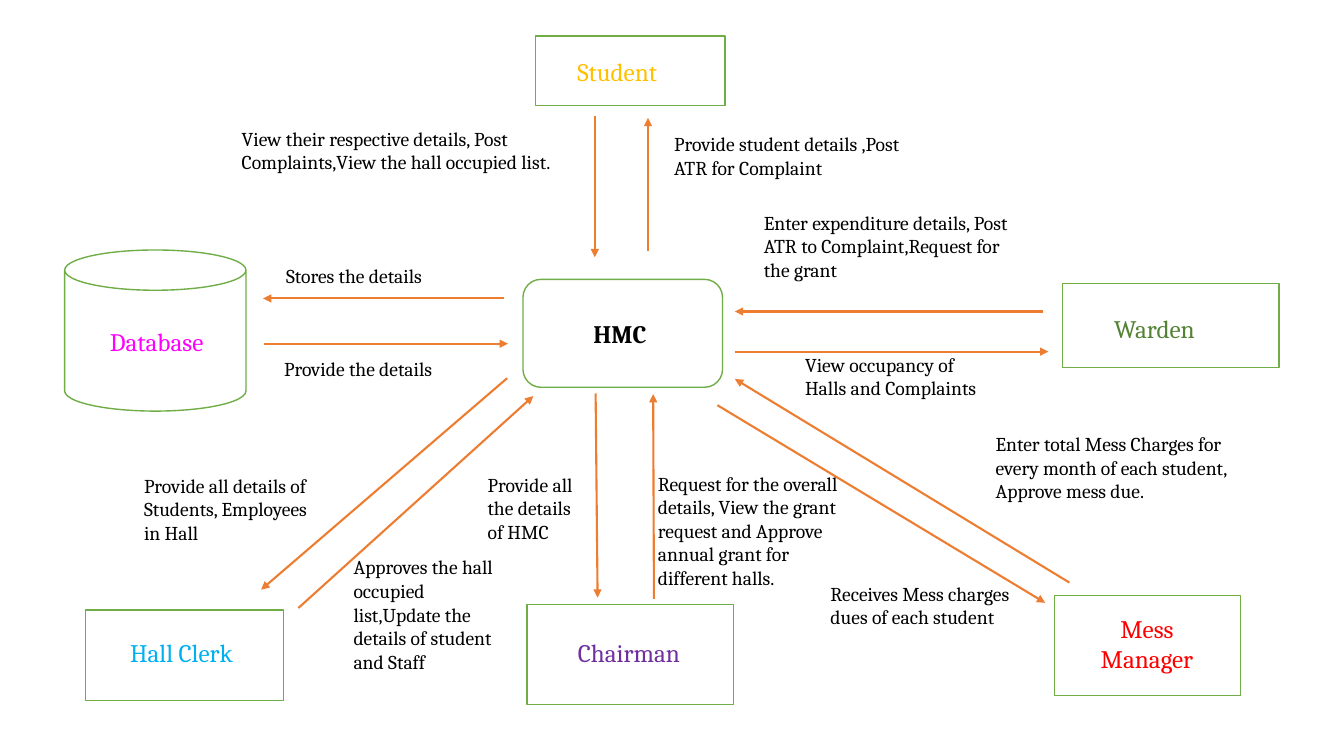
from lxml import etree
from pptx import Presentation
from pptx.dml.color import RGBColor
from pptx.enum.shapes import MSO_CONNECTOR, MSO_SHAPE
from pptx.enum.text import MSO_AUTO_SIZE, PP_ALIGN
from pptx.oxml.ns import qn
from pptx.util import Cm, Pt

RECTANGLE = MSO_SHAPE.RECTANGLE
ROUNDED = MSO_SHAPE.ROUNDED_RECTANGLE
CYLINDER = MSO_SHAPE.CAN
STRAIGHT = MSO_CONNECTOR.STRAIGHT
LEFT, CENTER = PP_ALIGN.LEFT, PP_ALIGN.CENTER
FIT_SHAPE = MSO_AUTO_SIZE.SHAPE_TO_FIT_TEXT

COLORS = {
    "background": "FFFFFF",
    "outline": "70AD47",
    "arrow": "ED7D31",
    "text": "000000",
    "student": "FFC000",
    "warden": "548235",
    "mess": "FF0000",
    "chairman": "7030A0",
    "clerk": "00B0F0",
    "database": "FF00FF",
}
NOTE_FORMAT = {"name": "Cambria", "size": Pt(14), "bold": False}
NAME_FORMAT = {"name": "Cambria", "size": Pt(18), "bold": False}
HUB_FORMAT = {**NAME_FORMAT, "bold": True}

# Each entity: shape, box, label box relative to it, name, colour, alignment, format
ENTITIES = [
    (ROUNDED, (13.18, 7.04, 5.03, 2.72), (1.15, 0.86, 2.59, 1.02),
     "HMC", "text", CENTER, HUB_FORMAT),
    (RECTANGLE, (13.49, 0.91, 4.78, 1.75), (0.81, 0.39, 3.05, 1.02),
     "Student", "student", LEFT, NAME_FORMAT),
    (RECTANGLE, (26.77, 7.14, 5.46, 2.13), (-0.2, 0.63, 5.05, 1.02),
     "Warden", "warden", CENTER, NAME_FORMAT),
    (RECTANGLE, (26.57, 15.01, 4.7, 2.51), (0.2, 0.31, 4.27, 1.8),
     "Mess Manager", "mess", CENTER, NAME_FORMAT),
    (RECTANGLE, (13.28, 15.24, 5.21, 2.51), (0.59, 0.69, 3.96, 1.02),
     "Chairman", "chairman", CENTER, NAME_FORMAT),
    (RECTANGLE, (2.16, 15.37, 4.98, 2.29), (0.56, 0.56, 3.71, 1.02),
     "Hall Clerk", "clerk", CENTER, NAME_FORMAT),
    (CYLINDER, (1.63, 6.3, 4.57, 4.06), (0.43, 1.8, 3.78, 1.02),
     "Database", "database", CENTER, NAME_FORMAT),
]

# Each flow: arrow start and end, note box, note
FLOWS = [
    ((14.99, 2.92, 14.99, 6.48), (5.84, 3.07, 9.09, 1.45),
     "View their respective details, Post Complaints,View the hall occupied list."),
    ((16.33, 6.32, 16.33, 2.97), (16.74, 3.2, 7.01, 1.45),
     "Provide student details ,Post ATR for Complaint"),
    ((26.29, 7.85, 18.52, 7.85), (19, 5.18, 6.93, 2.64),
     "Enter expenditure details, Post ATR to Complaint,Request for the grant"),
    ((18.52, 8.86, 26.42, 8.86), (20.04, 8.76, 5.23, 1.45),
     "View occupancy of Halls and Complaints"),
    ((26.95, 14.68, 18.52, 9.55), (24.84, 10.77, 6.45, 2.64),
     "Enter total Mess Charges for every month of each student, Approve mess due."),
    ((18.08, 10.21, 26.34, 15.19), (20.68, 14.53, 5.33, 2.06),
     "Receives Mess charges dues of each student"),
    ((16.48, 15.09, 16.46, 9.93), (16.33, 11.76, 5.36, 3.25),
     "Request for the overall details, View the grant request and Approve "
     "annual grant for different halls."),
    ((15.01, 9.91, 15.06, 15.06), (12.04, 11.79, 2.9, 2.06),
     "Provide all the details of HMC"),
    ((7.52, 15.32, 13.44, 9.98), (8.66, 13.87, 4.19, 3.84),
     "Approves the hall occupied list,Update the details of student and Staff"),
    ((12.78, 9.53, 6.58, 14.86), (3.38, 11.81, 4.75, 2.06),
     "Provide all details of Students, Employees in Hall"),
    ((12.7, 7.52, 6.63, 7.52), (6.96, 6.53, 5.23, 0.86), "Stores the details"),
    ((6.65, 8.66, 12.8, 8.66), (6.91, 8.86, 5.18, 0.86), "Provide the details"),
]


def color(name):
    """Return the named colour."""
    return RGBColor.from_string(COLORS[name])


def add_text(slide, box, text, color_name, alignment, text_format):
    """Write wrapped text in a box given in centimetres."""
    text_frame = slide.shapes.add_textbox(*map(Cm, box)).text_frame
    text_frame.word_wrap = True
    text_frame.auto_size = FIT_SHAPE
    paragraph = text_frame.paragraphs[0]
    paragraph.alignment = alignment
    run = paragraph.add_run()
    run.text = text
    run.font.color.rgb = color(color_name)
    for attribute, value in text_format.items():
        setattr(run.font, attribute, value)


def add_entity(slide, kind, box, label, name, color_name, alignment, text_format):
    """Draw an outlined entity and its name, placed relative to its box."""
    shape = slide.shapes.add_shape(kind, *map(Cm, box))
    shape.shadow.inherit = False
    shape.fill.solid()
    shape.fill.fore_color.rgb = color("background")
    shape.line.color.rgb = color("outline")
    shape.line.width = Pt(1)
    label_box = (box[0] + label[0], box[1] + label[1], *label[2:])
    add_text(slide, label_box, name, color_name, alignment, text_format)


def add_flow(slide, ends, note_box, note):
    """Draw a data flow arrow and the note beside it."""
    connector = slide.shapes.add_connector(STRAIGHT, *map(Cm, ends))
    connector.line.color.rgb = color("arrow")
    connector.line.width = Pt(1.5)
    line = connector.line._get_or_add_ln()
    etree.SubElement(line, qn("a:tailEnd"), type="triangle")
    etree.SubElement(connector._element.spPr, qn("a:effectLst"))
    add_text(slide, note_box, note, "text", LEFT, NOTE_FORMAT)


def add_context_diagram(presentation):
    """Build the data flow slide around the HMC."""
    slide = presentation.slides.add_slide(presentation.slide_layouts[6])
    for entity in ENTITIES:
        add_entity(slide, *entity)
    for flow in FLOWS:
        add_flow(slide, *flow)


def main():
    """Create and save the presentation."""
    presentation = Presentation()
    presentation.slide_width = Cm(33.87)
    presentation.slide_height = Cm(19.05)
    add_context_diagram(presentation)
    presentation.save("out.pptx")


if __name__ == "__main__":
    main()
